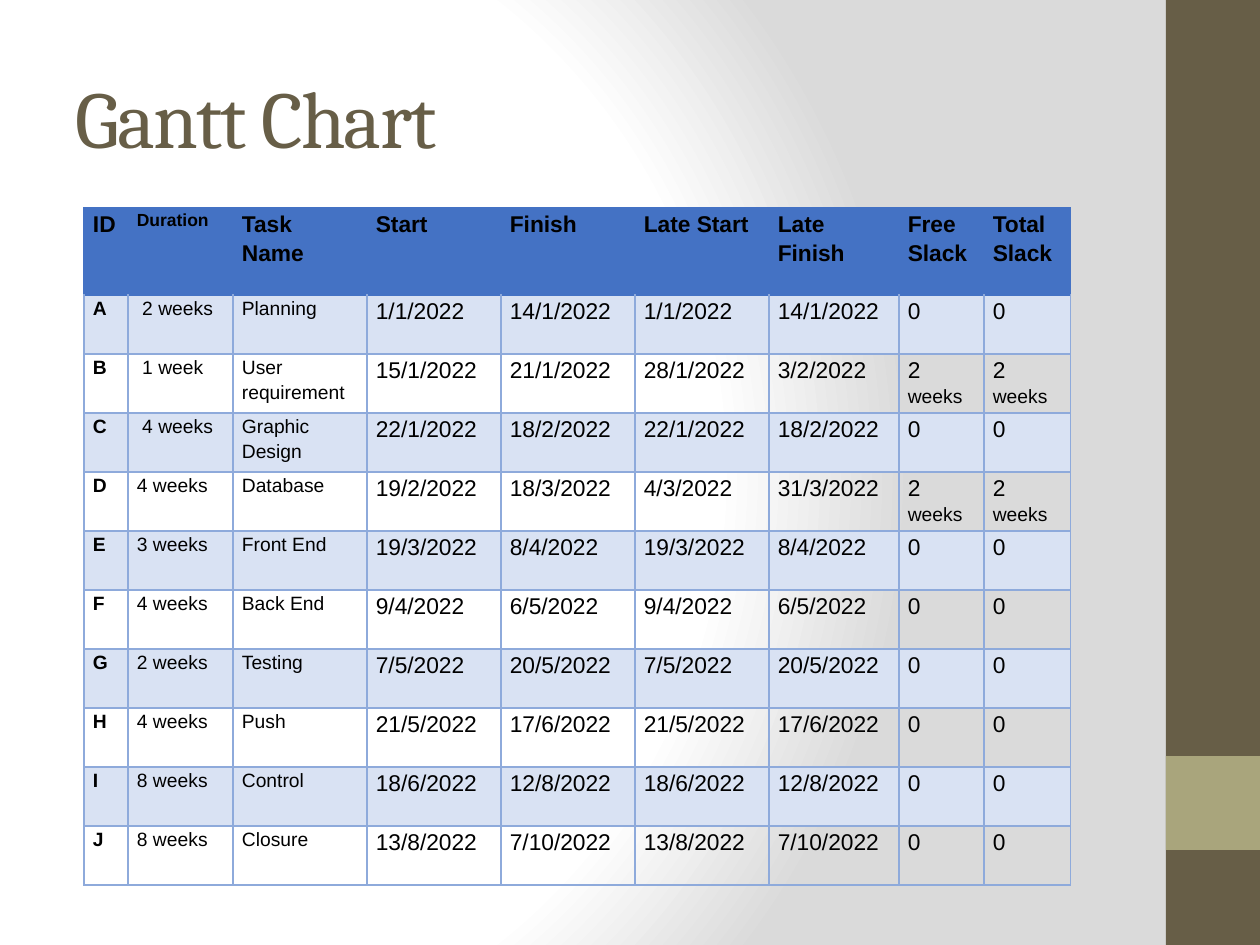
"""Build a project schedule slide with a title, a sidebar and a task table."""
from dataclasses import dataclass
from typing import NamedTuple

from lxml import etree
from pptx import Presentation
from pptx.dml.color import RGBColor
from pptx.enum.shapes import MSO_SHAPE
from pptx.enum.text import MSO_ANCHOR, PP_ALIGN
from pptx.oxml import parse_xml
from pptx.oxml.ns import nsdecls, qn
from pptx.util import Pt

RECTANGLE = MSO_SHAPE.RECTANGLE
MIDDLE = MSO_ANCHOR.MIDDLE
LEFT = PP_ALIGN.LEFT
EMU_PER_PX = 914400 / 126
PLAIN_TABLE_STYLE = "{2D5ABB26-0587-4C30-8999-92F81FD0307C}"


@dataclass(frozen=True)
class Theme:
    title_font: str = "Cambria"
    body_font: str = "Arial"
    brown: str = "675E47"
    olive: str = "A9A57C"
    black: str = "000000"
    white: str = "FFFFFF"
    grey: str = "DADADA"
    header: str = "4472C4"
    band: str = "D9E2F3"
    grid: str = "8EAADB"
    title_size: int = 46
    large: int = 13
    medium: int = 11
    small: int = 10


class Box(NamedTuple):
    left: int
    top: int
    width: int
    height: int


class Panel(NamedTuple):
    box: Box
    color: str


class Task(NamedTuple):
    id: str
    duration: str
    name: str
    start: str
    finish: str
    late_start: str
    late_finish: str
    free_slack: str = "0"
    total_slack: str = "0"


THEME = Theme()
SLIDE_WIDTH, SLIDE_HEIGHT = 1260, 945
TITLE_BOX = Box(63, 38, 1050, 157)
TABLE_BOX = Box(84, 208, 987, 677)
PANELS = (
    Panel(Box(1166, 0, 94, 945), THEME.brown),
    Panel(Box(1166, 756, 94, 94), THEME.olive),
)
COLUMN_WIDTHS = (44, 105, 134, 134, 134, 134, 130, 85, 87)
HEADER_HEIGHT, TASK_HEIGHT, CELL_MARGIN = 87, 59, 9
HEADINGS = Task("ID", "Duration", "Task Name", "Start", "Finish",
                "Late Start", "Late Finish", "Free Slack", "Total Slack")
TASKS = (
    Task("A", " 2 weeks", "Planning", "1/1/2022", "14/1/2022", "1/1/2022", "14/1/2022"),
    Task("B", " 1 week", "User requirement", "15/1/2022", "21/1/2022", "28/1/2022",
         "3/2/2022", "2 weeks", "2 weeks"),
    Task("C", " 4 weeks", "Graphic Design", "22/1/2022", "18/2/2022", "22/1/2022", "18/2/2022"),
    Task("D", "4 weeks", "Database", "19/2/2022", "18/3/2022", "4/3/2022",
         "31/3/2022", "2 weeks", "2 weeks"),
    Task("E", "3 weeks", "Front End", "19/3/2022", "8/4/2022", "19/3/2022", "8/4/2022"),
    Task("F", "4 weeks", "Back End", "9/4/2022", "6/5/2022", "9/4/2022", "6/5/2022"),
    Task("G", "2 weeks", "Testing", "7/5/2022", "20/5/2022", "7/5/2022", "20/5/2022"),
    Task("H", "4 weeks", "Push", "21/5/2022", "17/6/2022", "21/5/2022", "17/6/2022"),
    Task("I", "8 weeks", "Control", "18/6/2022", "12/8/2022", "18/6/2022", "12/8/2022"),
    Task("J", "8 weeks", "Closure", "13/8/2022", "7/10/2022", "13/8/2022", "7/10/2022"),
)


def px(length: int) -> int:
    return round(length * EMU_PER_PX)


def add_text(paragraph, text: str, *, size: int, font: str = THEME.body_font,
             color: str = THEME.black, bold: bool = False, spacing: int = 0) -> None:
    run = paragraph.add_run()
    run.text = text
    run.font.size = Pt(size)
    run.font.name = font
    run.font.bold = bold
    run.font.color.rgb = RGBColor.from_string(color)
    if spacing:
        run.font._element.set("spc", str(spacing * 100))


def set_background(slide) -> None:
    stops = "".join(
        f'<a:gs pos="{position * 1000}"><a:srgbClr val="{color}"/></a:gs>'
        for position, color in ((0, THEME.white), (75, THEME.white), (100, THEME.grey)))
    slide.background.fill.gradient()
    properties = slide._element.cSld.find(f"{qn('p:bg')}/{qn('p:bgPr')}")
    properties.replace(properties.find(qn("a:gradFill")), parse_xml(
        f'<a:gradFill {nsdecls("a")} rotWithShape="1"><a:gsLst>{stops}</a:gsLst>'
        '<a:path path="circle"><a:fillToRect l="20000" t="50000" r="100000" b="50000"/>'
        '</a:path></a:gradFill>'))


def add_panel(slide, panel: Panel) -> None:
    shape = slide.shapes.add_shape(RECTANGLE, *map(px, panel.box))
    shape.shadow.inherit = False
    shape.fill.solid()
    shape.fill.fore_color.rgb = RGBColor.from_string(panel.color)
    shape.line.fill.background()


def format_title(slide, text: str) -> None:
    title = slide.shapes.title
    title.left, title.top, title.width, title.height = map(px, TITLE_BOX)
    title.text_frame.vertical_anchor = MIDDLE
    paragraph = title.text_frame.paragraphs[0]
    paragraph.alignment = LEFT
    add_text(paragraph, text, size=THEME.title_size, font=THEME.title_font,
             color=THEME.brown, spacing=-1)


def set_borders(cell, color: str, top_color: str) -> None:
    properties = cell._tc.get_or_add_tcPr()
    for side in "LRTB":
        line = etree.SubElement(properties, qn(f"a:ln{side}"), w=str(Pt(1)))
        fill = etree.SubElement(line, qn("a:solidFill"))
        etree.SubElement(fill, qn("a:srgbClr"), val=top_color if side == "T" else color)


def fill_cell(cell, text: str, row: int, field: str) -> None:
    is_header = row == 0
    set_borders(cell, THEME.header if is_header else THEME.grid,
                THEME.header if row <= 1 else THEME.grid)
    if is_header or row % 2:
        cell.fill.solid()
        cell.fill.fore_color.rgb = RGBColor.from_string(
            THEME.header if is_header else THEME.band)
    else:
        cell.fill.background()
    cell.margin_left = cell.margin_right = px(CELL_MARGIN)
    cell.margin_top = cell.margin_bottom = 0
    paragraph = cell.text_frame.paragraphs[0]
    paragraph.line_spacing = 1.15
    paragraph.space_after = Pt(10)
    if is_header:
        size = THEME.small if field == "duration" else THEME.large
        add_text(paragraph, text, size=size, bold=True)
    elif field in ("id", "duration", "name"):
        add_text(paragraph, text, size=THEME.medium, bold=field == "id")
    else:
        value, space, unit = text.partition(" ")
        add_text(paragraph, value + space, size=THEME.large)
        if unit:
            add_text(paragraph, unit, size=THEME.medium)


def add_schedule(slide) -> None:
    rows = (HEADINGS, *TASKS)
    table = slide.shapes.add_table(len(rows), len(COLUMN_WIDTHS), *map(px, TABLE_BOX)).table
    table._tbl.tblPr.find(qn("a:tableStyleId")).text = PLAIN_TABLE_STYLE
    table.horz_banding = False
    for column, width in zip(table.columns, COLUMN_WIDTHS):
        column.width = px(width)
    for row, task in enumerate(rows):
        table.rows[row].height = px(TASK_HEIGHT if row else HEADER_HEIGHT)
        for column, (field, text) in enumerate(zip(Task._fields, task)):
            fill_cell(table.cell(row, column), text, row, field)


def main() -> None:
    presentation = Presentation()
    presentation.slide_width, presentation.slide_height = px(SLIDE_WIDTH), px(SLIDE_HEIGHT)
    slide = presentation.slides.add_slide(presentation.slide_layouts[5])
    set_background(slide)
    for panel in PANELS:
        add_panel(slide, panel)
    format_title(slide, "Gantt Chart")
    add_schedule(slide)
    presentation.save("out.pptx")


if __name__ == "__main__":
    main()
